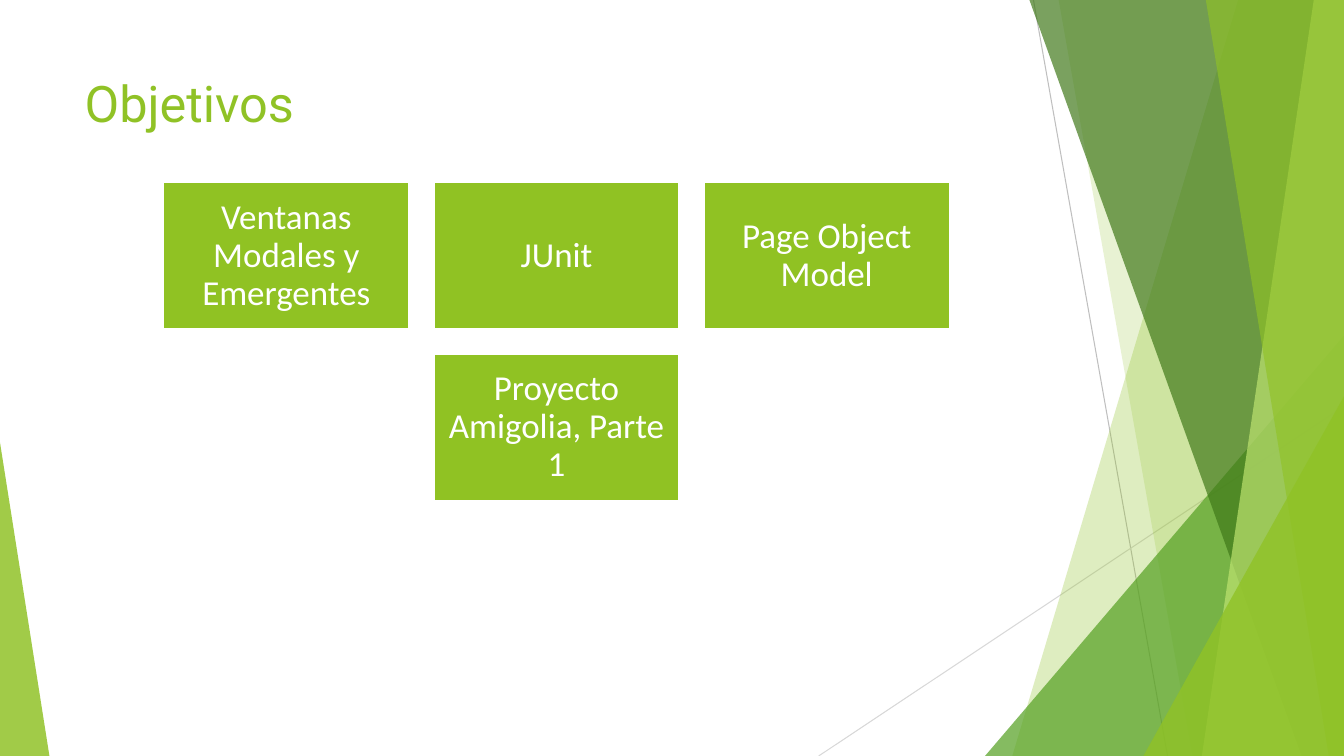
from lxml import etree
from pptx import Presentation
from pptx import util as u
from pptx.dml.color import RGBColor
from pptx.enum import shapes, text
from pptx.oxml.ns import qn

COLORS = {
    "lime": "90C226", "tile": "90C223", "green": "54A021", "forest": "3F7818",
    "pale": "BFE471", "white": "FFFFFF", "grey": "BFBFBF", "silver": "D8D8D8",
}
WIDTH, HEIGHT = 13.33, 7.5
TILES = ["Ventanas Modales y Emergentes", "JUnit", "Page Object Model",
         "Proyecto Amigolia, Parte 1"]


def rgb(name):
    return RGBColor.from_string(COLORS[name])


def set_all(obj, values):
    for name, value in values.items():
        setattr(obj, name, value)


def paint(sp, color, alpha=100):
    sp.shadow.inherit = False
    sp.fill.solid()
    sp.fill.fore_color.rgb = rgb(color)
    sp.line.fill.background()
    if alpha < 100:
        clr = sp.fill._xPr.find(qn("a:solidFill"))[0]
        etree.SubElement(clr, qn("a:alpha")).set("val", str(alpha * 1000))


def add_line(s, start, end, color):
    line = s.shapes.add_connector(shapes.MSO_CONNECTOR.STRAIGHT,
                                  *(u.Inches(v) for v in start + end))
    line.line.color.rgb = rgb(color)
    line.line.width = u.Pt(0.75)
    etree.SubElement(line._element.spPr, qn("a:effectLst"))


def add_band(s, box, top_x, bottom_x, color, alpha):
    """Fill from a slanted left edge to the right side of the box."""
    x, y, w, h = box
    points = [(x + top_x, y), (x + w, y), (x + w, y + h), (x + bottom_x, y + h)]
    points = [(u.Inches(px), u.Inches(py)) for px, py in points]
    builder = s.shapes.build_freeform(*points[0])
    builder.add_line_segments(points[1:], close=True)
    paint(builder.convert_to_shape(), color, alpha)


def add_corner(s, box, w, h, color, alpha, right=True):
    """Right-angled triangle in a bottom corner of the box."""
    x = box[0] + (box[2] - w if right else 0)
    y = box[1] + box[3] - h
    sp = s.shapes.add_shape(shapes.MSO_SHAPE.ISOSCELES_TRIANGLE,
                            *(u.Inches(v) for v in (x, y, w, h)))
    sp.adjustments[0] = 1 if right else 0
    paint(sp, color, alpha)


def add_facets(s, box):
    x, y, w, h = box
    # Thin lines behind the facets
    add_line(s, (x + 2.13, y), (x + 3.46, y + h), "grey")
    add_line(s, (x + w, y + 4.03), (x, y + h), "silver")
    # Overlapping bands and corner triangles, back to front
    add_band(s, box, 4.16, 1.92, "lime", 29)
    add_band(s, box, 2.38, 3.71, "lime", 20)
    add_corner(s, box, 3.56, 4.17, "green", 71)
    add_band(s, box, 2.09, 4.79, "forest", 69)
    add_band(s, box, 4.91, 3.8, "pale", 69)
    add_band(s, box, 3.84, 5.06, "lime", 64)
    add_corner(s, box, 1.99, 3.57, "lime", 80)


def add_title(s, box, words):
    sp = s.shapes.title
    set_all(sp, dict(zip(("left", "top", "width", "height"), map(u.Inches, box))))
    tf = sp.text_frame
    set_all(tf, {"text": words, "word_wrap": True,
                 "auto_size": text.MSO_AUTO_SIZE.NONE,
                 "vertical_anchor": text.MSO_ANCHOR.TOP})
    p = tf.paragraphs[0]
    p.alignment = text.PP_ALIGN.LEFT
    set_all(p.runs[0].font, {"name": "Roboto", "size": u.Pt(36)})
    p.runs[0].font.color.rgb = rgb("lime")


def add_tile(s, box, words):
    sp = s.shapes.add_shape(shapes.MSO_SHAPE.RECTANGLE, *map(u.Inches, box))
    paint(sp, "tile")
    sp.line.color.rgb = rgb("white")
    sp.line.width = u.Pt(1.5)
    tf = sp.text_frame
    set_all(tf, {"text": words, "word_wrap": True,
                 "vertical_anchor": text.MSO_ANCHOR.MIDDLE})
    set_all(tf, {f"margin_{side}": u.Inches(0.1)
                 for side in ("left", "top", "right", "bottom")})
    p = tf.paragraphs[0]
    set_all(p, {"alignment": text.PP_ALIGN.CENTER, "line_spacing": 0.9})
    set_all(p.runs[0].font, {"name": "Calibri", "size": u.Pt(25)})
    p.runs[0].font.color.rgb = rgb("white")


def add_tiles(s, box, labels, columns=3, gap=0.24):
    """Grid of tiles; a short last row is centred."""
    x, y, w, h = box
    rows = [labels[i:i + columns] for i in range(0, len(labels), columns)]
    tile_w = (w - gap * (columns - 1)) / columns
    tile_h = (h - gap * (len(rows) - 1)) / len(rows)
    for r, row in enumerate(rows):
        indent = (columns - len(row)) * (tile_w + gap) / 2
        for c, label in enumerate(row):
            add_tile(s, (x + indent + c * (tile_w + gap),
                         y + r * (tile_h + gap), tile_w, tile_h), label)


def main():
    prs = Presentation()
    prs.slide_width, prs.slide_height = u.Inches(WIDTH), u.Inches(HEIGHT)
    s = prs.slides.add_slide(prs.slide_layouts[5])
    # Decoration on the right side and in the bottom left corner
    add_facets(s, (8.12, 0, WIDTH - 8.12, HEIGHT))
    add_corner(s, (0, 0, WIDTH, HEIGHT), 0.49, 3.11, "lime", 84, right=False)
    # Title and objectives
    add_title(s, (0.74, 0.67, 9.4, 1.44), "Objetivos")
    add_tiles(s, (1.62, 1.81, 7.8, 3.16), TILES)
    prs.save("out.pptx")


if __name__ == "__main__":
    main()
